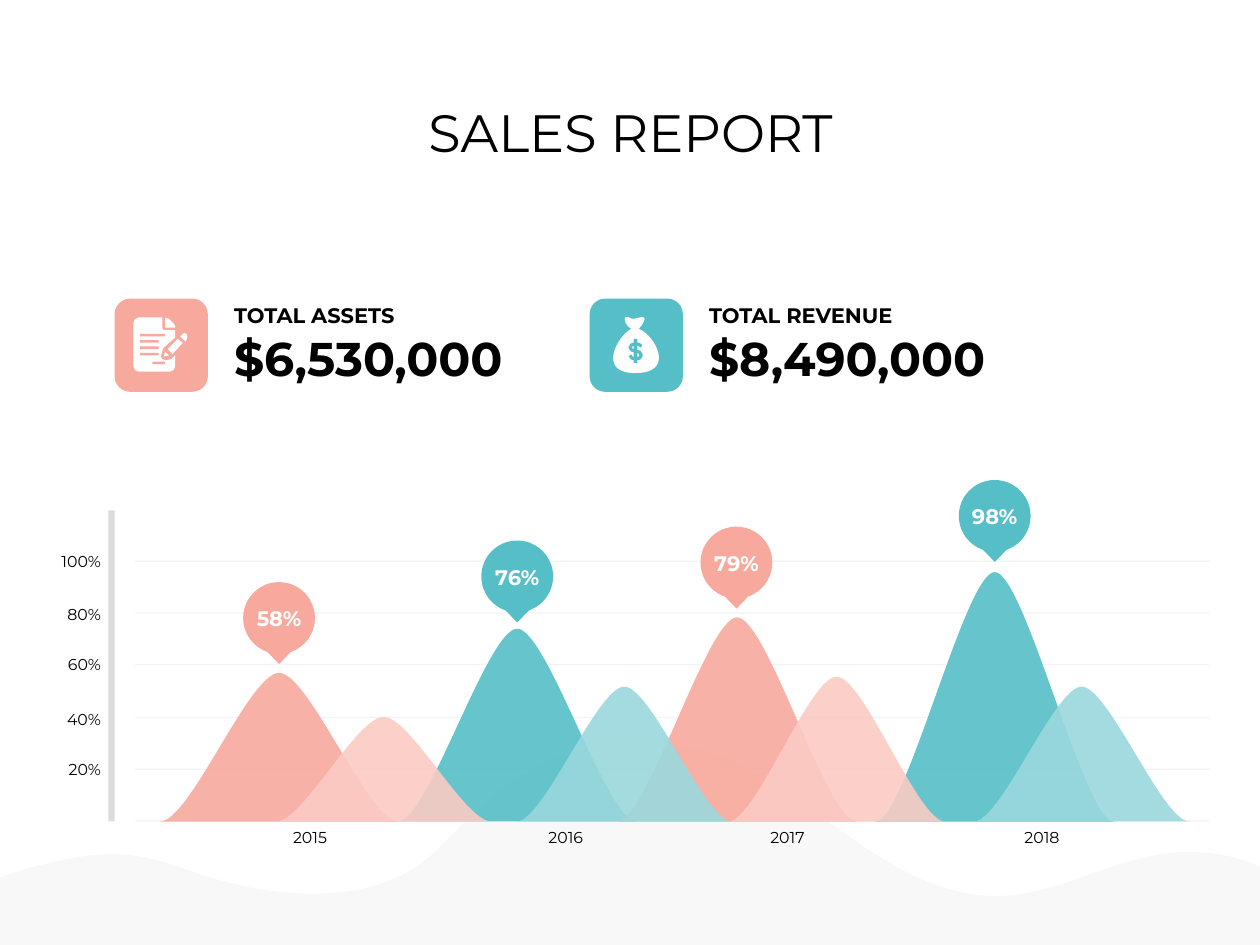
from dataclasses import dataclass

from lxml import etree
from pptx import Presentation
from pptx.dml.color import RGBColor
from pptx.enum.shapes import MSO_SHAPE
from pptx.enum.text import MSO_ANCHOR, PP_ALIGN
from pptx.oxml.ns import qn
from pptx.util import Emu, Pt

PX = 9144
RECT, ROUND = MSO_SHAPE.RECTANGLE, MSO_SHAPE.ROUNDED_RECTANGLE
OVAL, TRIANGLE = MSO_SHAPE.OVAL, MSO_SHAPE.ISOSCELES_TRIANGLE
LEFT, CENTER, RIGHT = PP_ALIGN.LEFT, PP_ALIGN.CENTER, PP_ALIGN.RIGHT
MIDDLE = MSO_ANCHOR.MIDDLE


@dataclass(frozen=True)
class Theme:
    font: str = "Montserrat"
    ink: str = "000000"
    white: str = "FFFFFF"
    coral: str = "F8A99D"
    coral_light: str = "FBCBC4"
    teal: str = "56BEC7"
    teal_light: str = "9AD8DD"
    grid: str = "F2F2F2"
    axis: str = "D9D9D9"
    title: int = 30
    amount: int = 27
    label: int = 12
    tick: int = 9
    stroke: float = 1.8


@dataclass(frozen=True)
class Bell:
    left: int
    top: int
    width: int
    color: str


@dataclass(frozen=True)
class Pin:
    left: int
    top: int
    text: str
    color: str


@dataclass(frozen=True)
class Card:
    left: int
    label: str
    amount: str
    color: str


T = Theme()
BASELINE = 652
BELLS = [
    Bell(127, 534, 189, T.coral), Bell(695, 454, 189, T.teal),
    Bell(316, 499, 189, T.teal), Bell(490, 490, 190, T.coral),
    Bell(219, 569, 171, T.coral_light), Bell(773, 545, 171, T.teal_light),
    Bell(578, 537, 172, T.coral_light), Bell(410, 545, 171, T.teal_light),
]
PINS = [
    Pin(193, 462, "58%", T.coral), Pin(382, 429, "76%", T.teal),
    Pin(556, 418, "79%", T.coral), Pin(761, 381, "98%", T.teal),
]
ASSETS = Card(91, "TOTAL ASSETS", "$6,530,000", T.coral)
REVENUE = Card(468, "TOTAL REVENUE", "$8,490,000", T.teal)
TICKS = [("20%", 598), ("40%", 558), ("60%", 515), ("80%", 475), ("100%", 433)]
YEARS = [("2015", 222), ("2016", 425), ("2017", 601), ("2018", 803)]

WAVE = [
    (503, 589), (535, 588, 569, 596, 598, 612), (658, 645, 711, 707, 785, 711),
    (832, 713, 874, 686, 920, 678), (948, 674, 973, 677, 993, 685),
    (1000, 688), (1000, 750), (0, 750), (0, 697), (9, 693, 18, 690, 26, 688),
    (52, 682, 79, 675, 105, 679), (127, 681, 148, 691, 169, 697),
    (222, 713, 293, 718, 337, 683), (356, 668, 370, 649, 388, 634),
    (418, 606, 460, 591, 503, 589),
]
DOCUMENT = [
    [(139, 259), (139, 258, 138, 257, 138, 257), (134, 253),
     (133, 252, 132, 252, 131, 252), (131, 260), (139, 260)],
    [(129, 278), (129, 277, 130, 277, 130, 276), (139, 268), (139, 262),
     (130, 262), (129, 262, 129, 261, 129, 261), (129, 252), (110, 252),
     (108, 252, 106, 254, 106, 256), (106, 291),
     (106, 293, 108, 295, 110, 295), (135, 295),
     (137, 295, 139, 293, 139, 291), (139, 282), (136, 285), (132, 286),
     (130, 286, 127, 285, 128, 282)],
    [(131, 279), (130, 283), (134, 282)],
    [(141, 269), (133, 277), (137, 281), (145, 272)],
    [(148, 265), (147, 264, 146, 264, 145, 265), (143, 267), (147, 271),
     (148, 270), (149, 268, 149, 266, 148, 265)],
]
TEXT_LINES = [(111, 265, 20), (111, 270, 15), (111, 275, 15),
              (111, 280, 15), (121, 287, 10)]
BAG = [
    (507, 261), (510, 258, 513, 252, 511, 252), (509, 251, 505, 253, 503, 253),
    (501, 254, 498, 250, 496, 252), (495, 254, 497, 259, 501, 261),
    (490, 267, 475, 294, 501, 296), (538, 298, 520, 266, 507, 261),
]
DOLLAR = [
    (509, 275), (508, 272, 500, 272, 500, 276),
    (500, 280, 509, 277, 509, 282), (509, 286, 500, 286, 500, 282),
]


def px(n: float) -> Emu:
    return Emu(round(n * PX))


def rgb(color: str) -> RGBColor:
    return RGBColor.from_string(color)


def paint(sp, color: str, alpha: int = 100):
    sp.shadow.inherit = False
    sp.fill.solid()
    sp.fill.fore_color.rgb = rgb(color)
    sp.line.fill.background()
    if alpha < 100:
        clr = sp._element.spPr.find(qn("a:solidFill"))[0]
        etree.SubElement(clr, qn("a:alpha"), val=str(alpha * 1000))
    return sp


def shape(slide, kind, x: int, y: int, w: int, h: int, color: str, alpha: int = 100):
    sp = slide.shapes.add_shape(kind, px(x), px(y), px(w), px(h))
    return paint(sp, color, alpha)


def outline(slide, segs: list, color: str, alpha: int = 100, stroke: float = 0):
    ends = [(px(seg[-2]), px(seg[-1])) for seg in segs]
    builder = slide.shapes.build_freeform(*ends[0], scale=1.0)
    builder.add_line_segments(ends[1:], close=not stroke)
    sp = paint(builder.convert_to_shape(), color, alpha)
    x0, y0 = builder.shape_offset_x, builder.shape_offset_y
    lines = list(sp._element.iter(qn("a:lnTo")))
    for seg, line in zip(segs[1:], lines):
        if len(seg) == 6:
            curve = etree.Element(qn("a:cubicBezTo"))
            for x, y in (seg[:2], seg[2:4], seg[4:]):
                etree.SubElement(curve, qn("a:pt"), x=str(px(x) - x0), y=str(px(y) - y0))
            line.getparent().replace(line, curve)
    if stroke:
        sp.fill.background()
        sp.line.color.rgb = rgb(color)
        sp.line.width = Pt(stroke)


def text(slide, s: str, x: int, y: int, w: int, h: int, *, size: int,
         color: str = T.ink, bold: bool = False, align=LEFT,
         wrap: bool = True, top: int = 5, spacing: float = 1.0):
    tf = slide.shapes.add_textbox(px(x), px(y), px(w), px(h)).text_frame
    tf.word_wrap = wrap
    tf.vertical_anchor = MIDDLE
    tf.margin_top = px(top)
    p = tf.paragraphs[0]
    p.alignment = align
    p.line_spacing = spacing
    r = p.add_run()
    r.text = s
    r.font.name, r.font.size, r.font.bold = T.font, Pt(size), bold
    r.font.color.rgb = rgb(color)


def draw_bell(slide, b: Bell):
    mid, right = b.left + b.width / 2, b.left + b.width
    near, far = b.width / 8, b.width * 3 / 8
    outline(slide, [
        (mid, b.top),
        (mid + near, b.top, mid + far, BASELINE, right, BASELINE),
        (b.left, BASELINE),
        (mid - far, BASELINE, mid - near, b.top, mid, b.top),
    ], b.color, 90)


def draw_pin(slide, pin: Pin):
    shape(slide, OVAL, pin.left, pin.top, 57, 57, pin.color)
    shape(slide, TRIANGLE, pin.left + 14, pin.top + 50, 29, 15, pin.color).rotation = 180
    text(slide, pin.text, pin.left, pin.top + 14, 57, 30, size=T.label,
         color=T.white, bold=True, align=CENTER, wrap=False)


def draw_card(slide, card: Card):
    shape(slide, ROUND, card.left, 237, 74, 74, card.color)
    x = card.left + 85
    text(slide, card.label, x, 235, 260, 30, size=T.label, bold=True)
    text(slide, card.amount, x, 256, 260, 56, size=T.amount, bold=True)


def main():
    prs = Presentation()
    prs.slide_width, prs.slide_height = px(1000), px(750)
    slide = prs.slides.add_slide(prs.slide_layouts[6])

    outline(slide, WAVE, T.grid, 50)
    text(slide, "SALES REPORT", 200, 69, 601, 66, size=T.title,
         align=CENTER, top=16, spacing=0.9)

    for i in range(6):
        shape(slide, RECT, 107, round(445 + i * 41.2), 853, 1, T.grid, 90)
    shape(slide, RECT, 86, 405, 5, 247, T.axis, 90)
    for bell in BELLS:
        draw_bell(slide, bell)
    for s, y in TICKS:
        text(slide, s, 36, y, 54, 25, size=T.tick, align=RIGHT)
    for s, x in YEARS:
        text(slide, s, x, 652, 48, 25, size=T.tick, align=CENTER, wrap=False)
    for pin in PINS:
        draw_pin(slide, pin)

    draw_card(slide, ASSETS)
    for part in DOCUMENT:
        outline(slide, part, T.white)
    for x, y, w in TEXT_LINES:
        shape(slide, ROUND, x, y, w, 2, ASSETS.color)

    draw_card(slide, REVENUE)
    outline(slide, BAG, T.white)
    outline(slide, DOLLAR, REVENUE.color, stroke=T.stroke)
    shape(slide, ROUND, 503, 269, 3, 19, REVENUE.color)

    prs.save("out.pptx")


if __name__ == "__main__":
    main()
